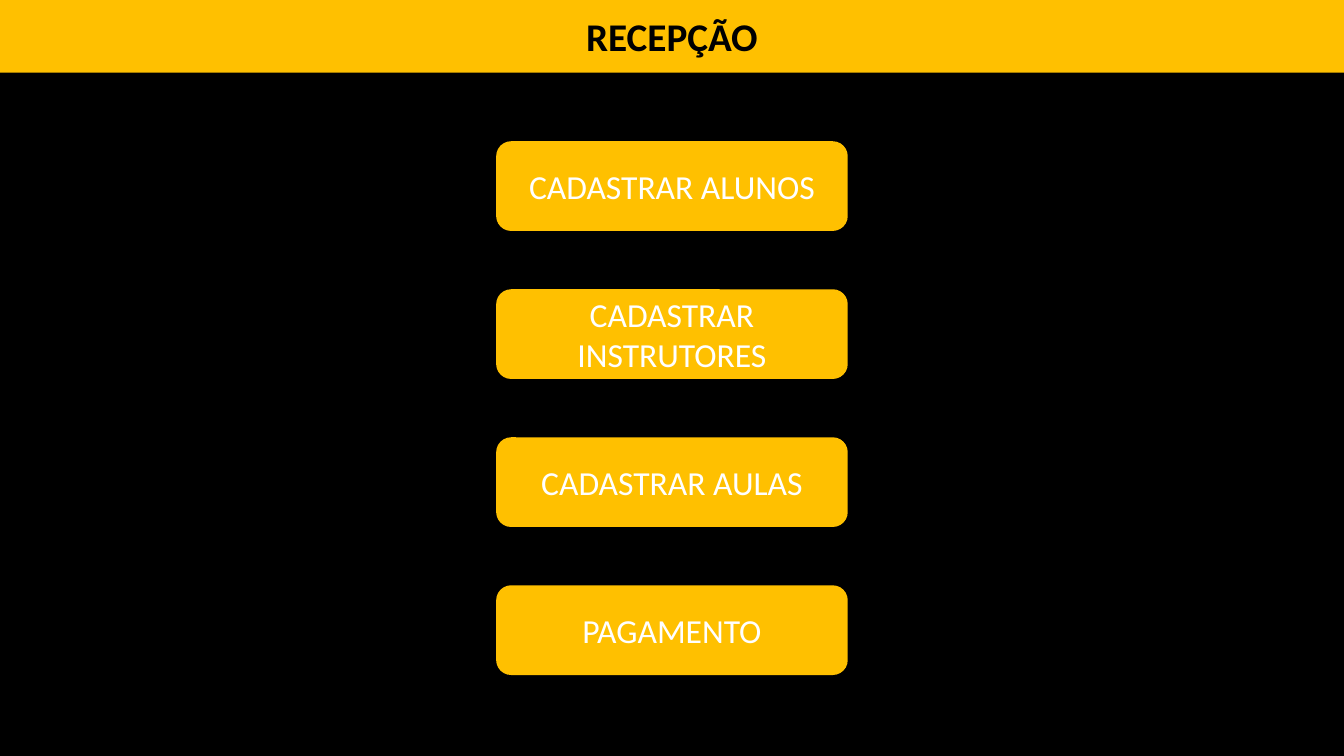
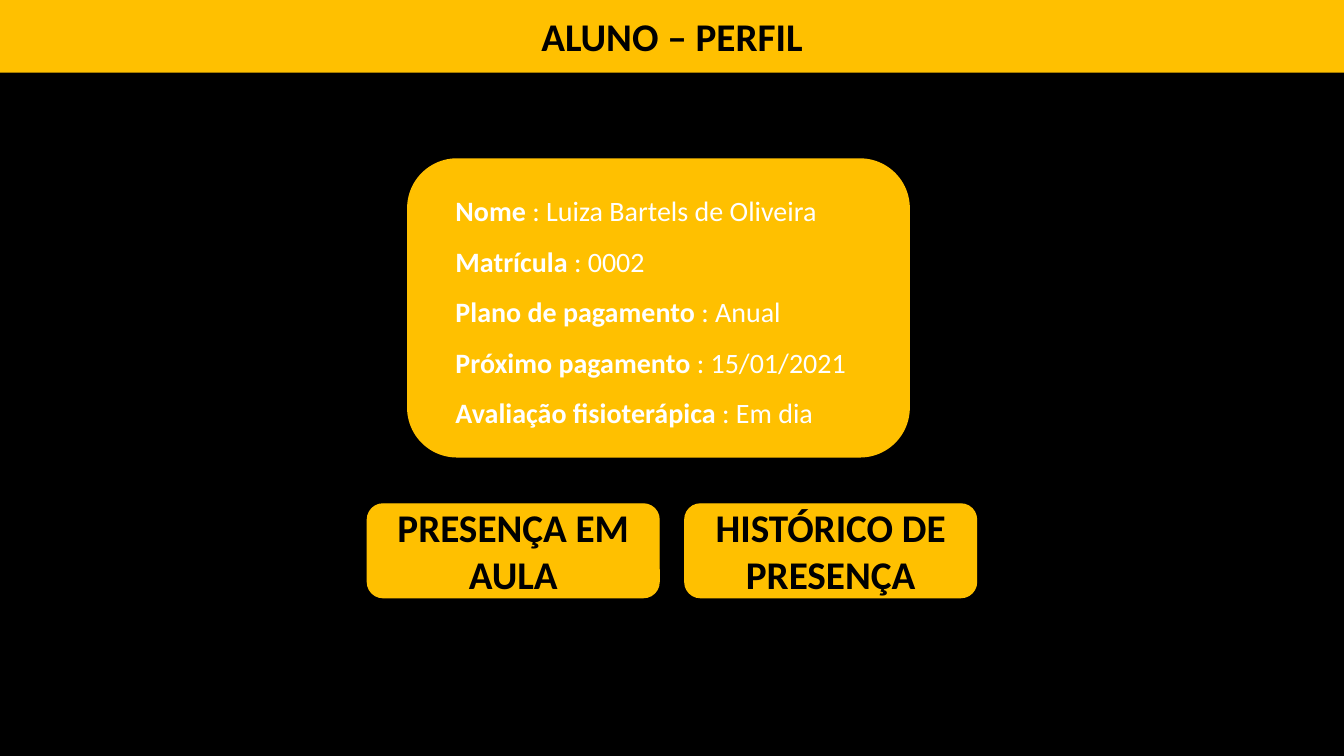
from dataclasses import dataclass

from pptx import Presentation
from pptx.dml.color import RGBColor
from pptx.enum.shapes import MSO_SHAPE
from pptx.enum.text import MSO_ANCHOR, MSO_AUTO_SIZE, PP_ALIGN
from pptx.shapes.autoshape import Shape
from pptx.slide import Slide
from pptx.text.text import _Paragraph
from pptx.util import Cm, Pt

RECTANGLE = MSO_SHAPE.RECTANGLE
ROUNDED = MSO_SHAPE.ROUNDED_RECTANGLE
MIDDLE = MSO_ANCHOR.MIDDLE
CENTER = PP_ALIGN.CENTER
LEFT = PP_ALIGN.LEFT
FIT_SHAPE = MSO_AUTO_SIZE.SHAPE_TO_FIT_TEXT

COLORS = {"background": "000000", "gold": "FFC000", "dark": "000000", "light": "FFFFFF"}
FONT = "Calibri"
SLIDE_WIDTH = 33.87
SLIDE_HEIGHT = 19.05
BAND_HEIGHT = 1.83


@dataclass(frozen=True)
class Box:
    left: float
    top: float
    width: float
    height: float


@dataclass(frozen=True)
class TextStyle:
    size: int
    color: str
    bold: bool = False


@dataclass(frozen=True)
class Button:
    label: str
    box: Box
    style: TextStyle
    outlined: bool = False


@dataclass(frozen=True)
class Field:
    label: str
    value: str


HEADING = TextStyle(28, "dark", True)
MENU_STYLE = TextStyle(24, "light")
FIELD_LABEL = TextStyle(20, "light", True)
FIELD_VALUE = TextStyle(20, "light")

MENU_LABELS = ["CADASTRAR ALUNOS", "CADASTRAR INSTRUTORES", "CADASTRAR AULAS", "PAGAMENTO"]
MENU_TOP, MENU_PITCH = 3.56, 3.73
MENU_WIDTH, MENU_HEIGHT = 8.86, 2.26
MENU_LEFT = (SLIDE_WIDTH - MENU_WIDTH) / 2

PROFILE_CARD = Box(10.26, 3.99, 12.67, 7.54)
PROFILE_TEXT = Box(11.23, 4.34, 10.74, 6.5)
PROFILE_FIELDS = [
    Field("Nome", " : Luiza Bartels de Oliveira"),
    Field("Matrícula", " : 0002"),
    Field("Plano de pagamento ", ": Anual"),
    Field("Próximo pagamento ", ": 15/01/2021"),
    Field("Avaliação fisioterápica ", ": Em dia"),
]

ACTION_LABELS = ["PRESENÇA EM AULA", "HISTÓRICO DE PRESENÇA"]
ACTION_LEFT, ACTION_TOP, ACTION_PITCH = 9.26, 12.7, 8.0
ACTION_WIDTH, ACTION_HEIGHT = 7.35, 2.36


def rgb(name: str) -> RGBColor:
    return RGBColor.from_string(COLORS[name])


def add_run(paragraph: _Paragraph, text: str, style: TextStyle) -> None:
    run = paragraph.add_run()
    run.text = text
    run.font.name = FONT
    run.font.size = Pt(style.size)
    run.font.bold = style.bold
    run.font.color.rgb = rgb(style.color)


def add_panel(slide: Slide, box: Box, preset: MSO_SHAPE = ROUNDED) -> Shape:
    panel = slide.shapes.add_shape(
        preset, Cm(box.left), Cm(box.top), Cm(box.width), Cm(box.height)
    )
    panel.shadow.inherit = False
    panel.fill.solid()
    panel.fill.fore_color.rgb = rgb("gold")
    panel.line.fill.background()
    return panel


def add_centered_text(panel: Shape, text: str, style: TextStyle) -> None:
    frame = panel.text_frame
    frame.word_wrap = True
    frame.vertical_anchor = MIDDLE
    paragraph = frame.paragraphs[0]
    paragraph.alignment = CENTER
    add_run(paragraph, text, style)


def add_button(slide: Slide, button: Button) -> None:
    panel = add_panel(slide, button.box)
    if button.outlined:
        panel.line.color.rgb = rgb("gold")
        panel.line.width = Pt(1)
    add_centered_text(panel, button.label, button.style)


def add_fields(slide: Slide, box: Box, fields: list[Field]) -> None:
    details = slide.shapes.add_textbox(
        Cm(box.left), Cm(box.top), Cm(box.width), Cm(box.height)
    )
    frame = details.text_frame
    frame.word_wrap = True
    frame.auto_size = FIT_SHAPE
    for index, field in enumerate(fields):
        paragraph = frame.add_paragraph() if index else frame.paragraphs[0]
        paragraph.alignment = LEFT
        paragraph.line_spacing = 1.5
        add_run(paragraph, field.label, FIELD_LABEL)
        add_run(paragraph, field.value, FIELD_VALUE)


def add_screen(title: str) -> Slide:
    slide = presentation.slides.add_slide(presentation.slide_layouts[6])
    slide.background.fill.solid()
    slide.background.fill.fore_color.rgb = rgb("background")
    band = add_panel(slide, Box(0, 0, SLIDE_WIDTH, BAND_HEIGHT), RECTANGLE)
    add_centered_text(band, title, HEADING)
    return slide


presentation = Presentation()
presentation.slide_width = Cm(SLIDE_WIDTH)
presentation.slide_height = Cm(SLIDE_HEIGHT)

reception = add_screen("RECEPÇÃO")
for row, label in enumerate(MENU_LABELS):
    menu_box = Box(MENU_LEFT, MENU_TOP + row * MENU_PITCH, MENU_WIDTH, MENU_HEIGHT)
    add_button(reception, Button(label, menu_box, MENU_STYLE))

profile = add_screen("ALUNO – PERFIL")
add_panel(profile, PROFILE_CARD)
add_fields(profile, PROFILE_TEXT, PROFILE_FIELDS)
for column, label in enumerate(ACTION_LABELS):
    action_box = Box(
        ACTION_LEFT + column * ACTION_PITCH, ACTION_TOP, ACTION_WIDTH, ACTION_HEIGHT
    )
    add_button(profile, Button(label, action_box, HEADING, outlined=True))

presentation.save("out.pptx")
